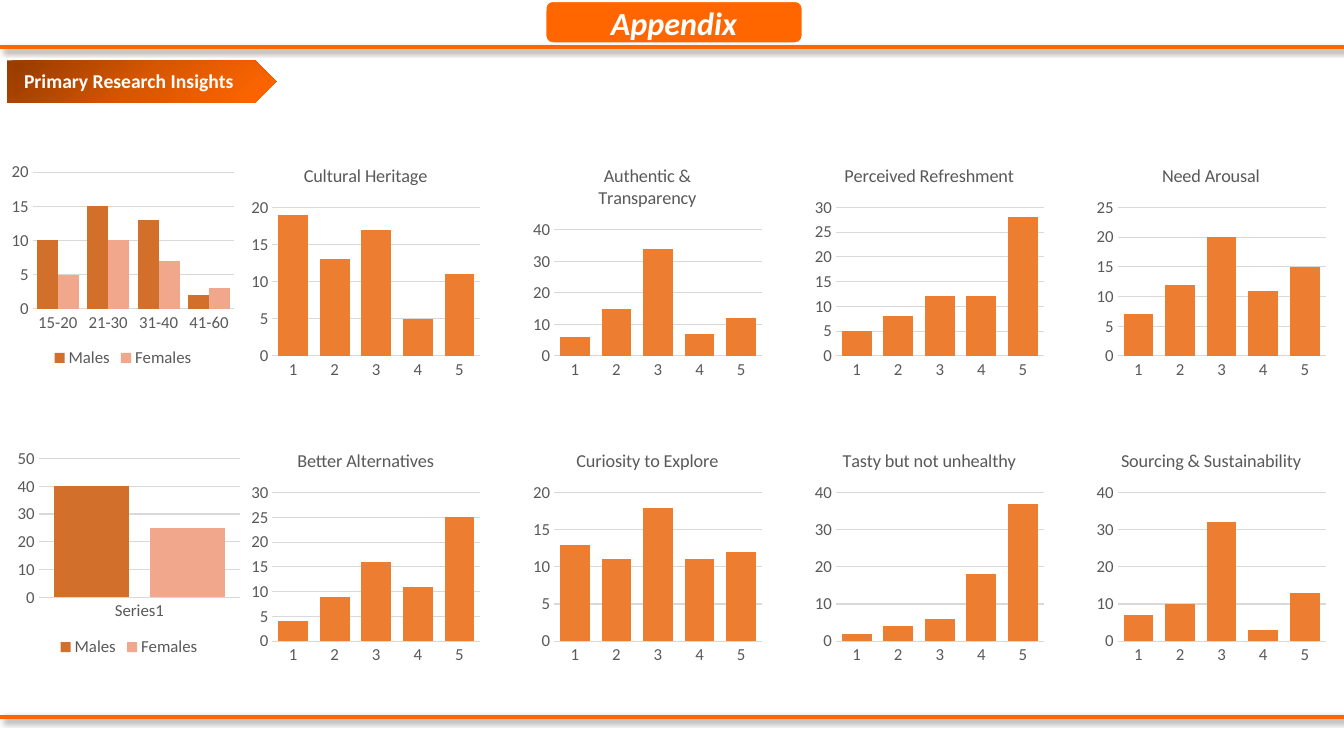
from dataclasses import dataclass

from lxml.etree import SubElement
from pptx import Presentation
from pptx.chart.data import CategoryChartData
from pptx.dml.color import RGBColor
from pptx.enum.chart import XL_CHART_TYPE, XL_LEGEND_POSITION, XL_TICK_MARK
from pptx.enum.shapes import MSO_CONNECTOR, MSO_SHAPE
from pptx.enum.text import MSO_ANCHOR, PP_ALIGN
from pptx.oxml import parse_xml
from pptx.oxml.ns import nsdecls, qn
from pptx.util import Inches, Pt

FACE = "Calibri"
ORANGE, WHITE, GREY, PALE = "FF6600", "FFFFFF", "595959", "D9D9D9"
BAR, MALE, FEMALE = "ED7D31", "D26F2B", "F1A78B"
RAMP = ((0, "973C00"), (50, "D75600"), (100, ORANGE))


@dataclass
class Graph:
    left: float
    top: float
    width: float
    height: float
    cats: tuple
    series: tuple  # name, values, colour
    peak: int
    step: int
    head: str = ""
    lap: int = -27


def paint(code: str) -> RGBColor:
    return RGBColor.from_string(code)


def style(font, size: float, color: str, bold: bool = False, slant: bool = False) -> None:
    font.name, font.size = FACE, Pt(size)
    font.bold, font.italic = bold, slant
    font.color.rgb = paint(color)


def write(frame, text: str, *, size: float, color: str, bold: bool = False,
          slant: bool = False, align=PP_ALIGN.LEFT) -> None:
    frame.text = text
    for para in frame.paragraphs:
        para.alignment = align
        for run in para.runs:
            style(run.font, size, color, bold, slant)


def rule(slide, y: float) -> None:
    line = slide.shapes.add_connector(
        MSO_CONNECTOR.STRAIGHT, Inches(0), Inches(y), Inches(13.33), Inches(y))
    line.line.color.rgb = paint(ORANGE)
    line.line.width = Pt(3)
    line._element.spPr.append(parse_xml(
        f'<a:effectLst {nsdecls("a")}>'
        f'<a:outerShdw blurRad="{Pt(4)}" dist="{Pt(3)}" dir="2700000" algn="tl">'
        '<a:srgbClr val="000000"><a:alpha val="40000"/></a:srgbClr>'
        '</a:outerShdw></a:effectLst>'))


def block(slide, kind, *box: float):
    shape = slide.shapes.add_shape(kind, *map(Inches, box))
    shape.shadow.inherit = False
    shape.line.fill.background()
    return shape


def blend(shape) -> None:
    shape.fill.gradient()
    fill = shape._element.spPr.find(qn("a:gradFill"))
    stops = "".join(f'<a:gs pos="{pos * 1000}"><a:srgbClr val="{code}"/></a:gs>'
                    for pos, code in RAMP)
    fill.getparent().replace(fill, parse_xml(
        f'<a:gradFill {nsdecls("a")} rotWithShape="1"><a:gsLst>{stops}</a:gsLst>'
        '<a:lin ang="2700000" scaled="1"/></a:gradFill>'))


def place(chart, *box: float) -> None:
    """Fix the inner plot area as shares of the chart."""
    area = chart._chartSpace.find(".//" + qn("c:plotArea"))
    for old in area.findall(qn("c:layout")):
        area.remove(old)
    lay = parse_xml(f'<c:layout {nsdecls("c")}/>')
    area.insert(0, lay)
    spot = SubElement(lay, qn("c:manualLayout"))
    marks = [("layoutTarget", "inner"), ("xMode", "edge"), ("yMode", "edge")]
    for tag, val in marks + list(zip("xywh", box)):
        SubElement(spot, qn("c:" + tag)).set("val", str(val))


def plot(slide, graph: Graph) -> None:
    data = CategoryChartData()
    data.categories = graph.cats
    for name, vals, _ in graph.series:
        data.add_series(name, vals)
    box = map(Inches, (graph.left, graph.top, graph.width, graph.height))
    chart = slide.shapes.add_chart(XL_CHART_TYPE.COLUMN_CLUSTERED, *box, data).chart
    style(chart.font, 10, "000000")

    # Bars
    bars = chart.plots[0]
    bars.gap_width, bars.overlap, bars.vary_by_categories = 40, graph.lap, False
    for item, (_, _, color) in zip(bars.series, graph.series):
        item.format.fill.solid()
        item.format.fill.fore_color.rgb = paint(color)

    # Axes
    for axis in (chart.category_axis, chart.value_axis):
        axis.major_tick_mark = axis.minor_tick_mark = XL_TICK_MARK.NONE
        style(axis.tick_labels.font, 12, GREY)
    scale = chart.value_axis
    scale.minimum_scale, scale.maximum_scale = 0, graph.peak
    scale.major_unit = graph.step
    scale.format.line.fill.background()
    for part in (chart.category_axis, scale.major_gridlines):
        part.format.line.color.rgb = paint(PALE)
        part.format.line.width = Pt(0.75)

    # Heading or legend
    chart.has_title = bool(graph.head)
    chart.has_legend = not graph.head
    if graph.head:
        write(chart.chart_title.text_frame, graph.head, size=13, color=GREY,
              align=PP_ALIGN.CENTER)
        y = 0.34 if "\n" in graph.head else 0.245
        place(chart, 0.11, y, 0.87, 0.88 - y)
    else:
        chart.legend.position = XL_LEGEND_POSITION.BOTTOM
        chart.legend.include_in_layout = False
        style(chart.legend.font, 12, GREY)
        place(chart, 0.11, 0.065, 0.87, 0.64)


SCORES = (
    (("Cultural Heritage", (19, 13, 17, 5, 11), 20, 5),
     ("Authentic &\nTransparency", (6, 15, 34, 7, 12), 40, 10),
     ("Perceived Refreshment", (5, 8, 12, 12, 28), 30, 5),
     ("Need Arousal", (7, 12, 20, 11, 15), 25, 5)),
    (("Better Alternatives", (4, 9, 16, 11, 25), 30, 5),
     ("Curiosity to Explore", (13, 11, 18, 11, 12), 20, 5),
     ("Tasty but not unhealthy", (2, 4, 6, 18, 37), 40, 10),
     ("Sourcing & Sustainability", (7, 10, 32, 3, 13), 40, 10)),
)


def main() -> None:
    deck = Presentation()
    deck.slide_width, deck.slide_height = Inches(13.33), Inches(7.5)
    slide = deck.slides.add_slide(deck.slide_layouts[5])

    # Title band
    rule(slide, 0.47)
    band = block(slide, MSO_SHAPE.ROUNDED_RECTANGLE, 5.41, 0.01, 2.55, 0.42)
    band.fill.solid()
    band.fill.fore_color.rgb = paint(ORANGE)
    band.line.color.rgb = paint(WHITE)
    band.line.width = Pt(1.5)
    title = slide.shapes.title
    title.left, title.top, title.width, title.height = map(
        Inches, (5.41, 0.01, 2.55, 0.42))
    frame = title.text_frame
    frame.margin_top = frame.margin_bottom = 0
    frame.vertical_anchor = MSO_ANCHOR.MIDDLE
    write(frame, "Appendix", size=23, color=WHITE, bold=True, slant=True,
          align=PP_ALIGN.CENTER)
    title._element.getparent().append(title._element)  # above the band

    # Age and gender charts
    plot(slide, Graph(0.07, 1.57, 2.3, 2.12, ("15-20", "21-30", "31-40", "41-60"),
                      (("Males", (10, 15, 13, 2), MALE),
                       ("Females", (5, 10, 7, 3), FEMALE)), 20, 5, lap=0))
    plot(slide, Graph(0.13, 4.41, 2.3, 2.15, ("Series1",),
                      (("Males", (40,), MALE), ("Females", (25,), FEMALE)), 50, 10))

    # Score charts
    for row, line in enumerate(SCORES):
        for col, (head, vals, peak, step) in enumerate(line):
            plot(slide, Graph(2.44 + 2.795 * col, 1.49 + 2.83 * row, 2.37, 2.32,
                              ("1", "2", "3", "4", "5"),
                              (("Series 1", vals, BAR),), peak, step, head))

    # Section tag and foot rule
    rule(slide, 7.11)
    for box in ((0.07, 0.6, 2.67, 0.42), (0.14, 0.63, 2.52, 0.34)):
        tag = block(slide, MSO_SHAPE.PENTAGON, *box)
        blend(tag)
    tag.text_frame.word_wrap = True
    tag.text_frame.vertical_anchor = MSO_ANCHOR.MIDDLE
    write(tag.text_frame, "Primary Research Insights", size=14, color=WHITE, bold=True)

    deck.save("out.pptx")


if __name__ == "__main__":
    main()
